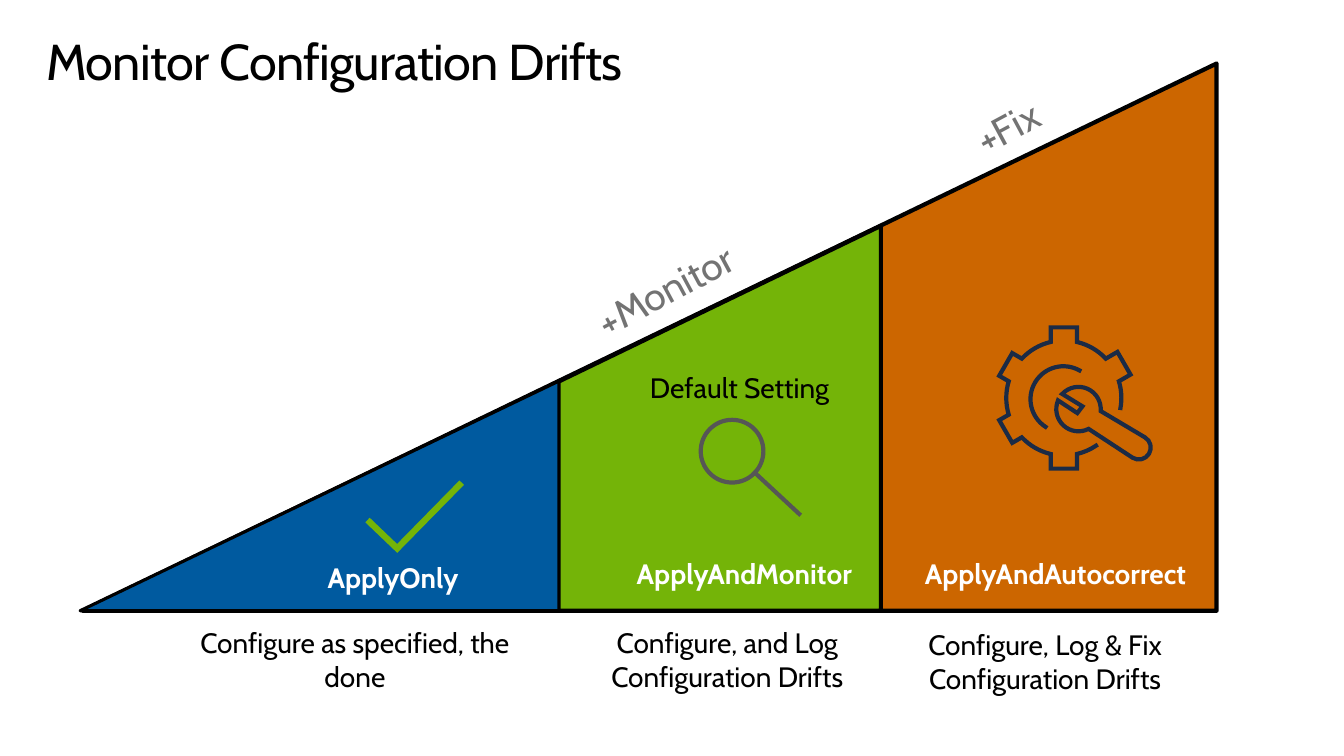
import math

import pptx
import pptx.dml.color
import pptx.enum.shapes
import pptx.enum.text
import pptx.oxml.ns
import pptx.util

Cm = pptx.util.Cm
Pt = pptx.util.Pt
qn = pptx.oxml.ns.qn

BLACK, WHITE, GREY = "000000", "FFFFFF", "737373"
BLUE, GREEN, ORANGE = "005A9F", "74B408", "CC6600"
NAVY, DARK_GREY = "1B2B46", "565656"

BASE_Y = 15.39
UPHILL = 331.8
GEAR_TIPS = {90: 1.78, 150: 1.69, 210: 1.69, 270: 1.78, 330: 1.75}


def color(hex_string):
    return pptx.dml.color.RGBColor.from_string(hex_string)


def lines(*points):
    """One-point segments, each a straight line to its point."""
    return [[point] for point in points]


def arc(center, radius, start, end):
    """A line to the arc's start, then three-point Bézier segments.

    Angles are in degrees, clockwise from the right.
    """
    def spot(angle, tangent=0):
        cosine, sine = math.cos(angle), math.sin(angle)
        return (center[0] + radius * (cosine - tangent * sine),
                center[1] + radius * (sine + tangent * cosine))

    count = math.ceil(abs(end - start) / 90)
    sweep = math.radians(end - start) / count
    pull = 4 / 3 * math.tan(sweep / 4)
    segments = lines(spot(math.radians(start)))
    for index in range(count):
        first = math.radians(start) + index * sweep
        last = first + sweep
        segments.append([spot(first, pull), spot(last, -pull), spot(last)])
    return segments


def gear_rim(center, radius, half_width):
    """Open gear outline with five teeth; the gap leaves room for the wrench."""
    half_angle = math.degrees(math.asin(half_width / radius))
    segments, angle = [], 56
    for tooth, tip in GEAR_TIPS.items():
        segments += arc(center, radius, angle, tooth - half_angle)
        cosine, sine = math.cos(math.radians(tooth)), math.sin(math.radians(tooth))
        segments += lines(*[(center[0] + tip * cosine - side * sine,
                             center[1] + tip * sine + side * cosine)
                            for side in (-half_width, half_width)])
        angle = tooth + half_angle
    return segments + arc(center, radius, angle, 370)


def wrench(head, cap):
    mouth = lines((27.28, 10.24), (27.15, 10.41))
    return (arc(cap, 0.3, 121, -59) + arc(head, 0.56, 5, -137)
            + mouth + arc(head, 0.56, 203, 63))


class SlideBuilder:
    font = "Cabin"

    def __init__(self, slide):
        self.slide = slide

    def text(self, content, left, top, width, height, size=20, fill=BLACK,
             bold=False, centered=False, rotation=0, spacing=None):
        box = self.slide.shapes.add_textbox(Cm(left), Cm(top), Cm(width), Cm(height))
        box.rotation = rotation
        frame = box.text_frame
        frame.word_wrap = True
        frame.auto_size = pptx.enum.text.MSO_AUTO_SIZE.SHAPE_TO_FIT_TEXT
        frame.margin_left = frame.margin_right = 0
        frame.margin_top = frame.margin_bottom = 0
        frame.text = content
        paragraph = frame.paragraphs[0]
        if centered:
            paragraph.alignment = pptx.enum.text.PP_ALIGN.CENTER
        run = paragraph.runs[0]
        run.font.name = self.font
        run.font.size = Pt(size)
        run.font.bold = bold
        run.font.color.rgb = color(fill)
        if spacing is not None:
            run.font._element.set("spc", str(spacing))

    def ramp(self, left, right, rise, fill, line_width):
        """Right triangle rising from left to right above the base line."""
        run = right - left
        center_x, center_y = left + run / 2, BASE_Y - rise / 2
        shape = self.slide.shapes.add_shape(
            pptx.enum.shapes.MSO_SHAPE.RIGHT_TRIANGLE,
            Cm(center_x - rise / 2), Cm(center_y - run / 2), Cm(rise), Cm(run))
        shape.rotation = 270
        shape.shadow.inherit = False
        shape.fill.solid()
        shape.fill.fore_color.rgb = color(fill)
        self.outline(shape, BLACK, line_width)

    def drawing(self, contours, line, line_width=3):
        """Unfilled drawing from (segments, closed) contours, with square line ends."""
        builder = None
        drawn_segments = []
        for segments, closed in contours:
            points = [(Cm(x), Cm(y)) for segment in segments for x, y in segment]
            if builder is None:
                builder = self.slide.shapes.build_freeform(*points[0])
            else:
                builder.move_to(*points[0])
            builder.add_line_segments(points[1:], close=closed)
            drawn_segments += segments[1:]
        shape = builder.convert_to_shape()
        self.bend(shape, drawn_segments)
        shape.shadow.inherit = False
        shape.fill.background()
        self.outline(shape, line, line_width)
        line_element = shape.line._get_or_add_ln()
        line_element.set("cap", "sq")
        miter = line_element.makeelement(qn("a:miter"), {"lim": "800000"})
        line_element.append(miter)

    def bend(self, shape, segments):
        """Merge the three lines of each Bézier segment into one curve."""
        steps = iter(list(shape._element.iter(qn("a:lnTo"))))
        for segment in segments:
            first, *others = [next(steps) for _ in segment]
            if others:
                first.tag = qn("a:cubicBezTo")
            for other in others:
                first.append(other[0])
                other.getparent().remove(other)

    def outline(self, shape, line, line_width):
        shape.line.color.rgb = color(line)
        shape.line.width = Pt(line_width)


def main():
    presentation = pptx.Presentation()
    presentation.slide_width = Cm(33.87)
    presentation.slide_height = Cm(19.05)
    builder = SlideBuilder(presentation.slides.add_slide(presentation.slide_layouts[6]))

    for left, right, rise, fill, line_width in [(2.08, 30.66, 13.79, ORANGE, 3),
                                                (2.13, 22.2, 9.7, GREEN, 3),
                                                (2.02, 14.09, 5.79, BLUE, 2.25)]:
        builder.ramp(left, right, rise, fill, line_width)

    builder.text("Monitor Configuration Drifts", 1.17, 0.76, 30.6, 1.55, size=36, spacing=-50)

    check_mark = lines((11.58, 12.22), (10.01, 13.82), (9.32, 13.16))
    builder.drawing([(check_mark, False)], GREEN, 4.5)
    builder.drawing([(gear_rim((26.81, 10.03), 1.45, 0.33), False),
                     (arc((26.8, 10.06), 0.83, -61, -237), False),
                     (wrench((27.18, 10.31), (28.7, 11.28)), True)], NAVY)
    builder.drawing([(arc((18.45, 11.37), 0.79, 0, 360), True),
                     (lines((20.14, 12.95), (19.02, 11.91)), False)], DARK_GREY)

    for name, left, top, width in [("ApplyOnly", 6.83, 14.12, 6.15),
                                   ("ApplyAndMonitor", 14.99, 14.02, 7.54),
                                   ("ApplyAndAutocorrect", 22.83, 14.02, 7.54)]:
        builder.text(name, left, top, width, 0.86, fill=WHITE, bold=True, centered=True)

    for description, left, top, width in [
            ("Configure as specified, the done", 4.55, 15.77, 8.79),
            ("Configure, and Log Configuration Drifts", 14.76, 15.77, 7.14),
            ("Configure, Log & Fix Configuration Drifts", 22.2, 15.82, 8.28)]:
        builder.text(description, left, top, width, 2.57, centered=True)

    for addition, left, top in [("+Monitor", 14.73, 6.05), ("+Fix", 24.28, 1.45)]:
        builder.text(addition, left, top, 6.48, 1.19, size=28, fill=GREY, rotation=UPHILL)

    builder.text("Default Setting", 16.38, 9.33, 8.43, 0.86)

    presentation.save("out.pptx")


if __name__ == "__main__":
    main()
